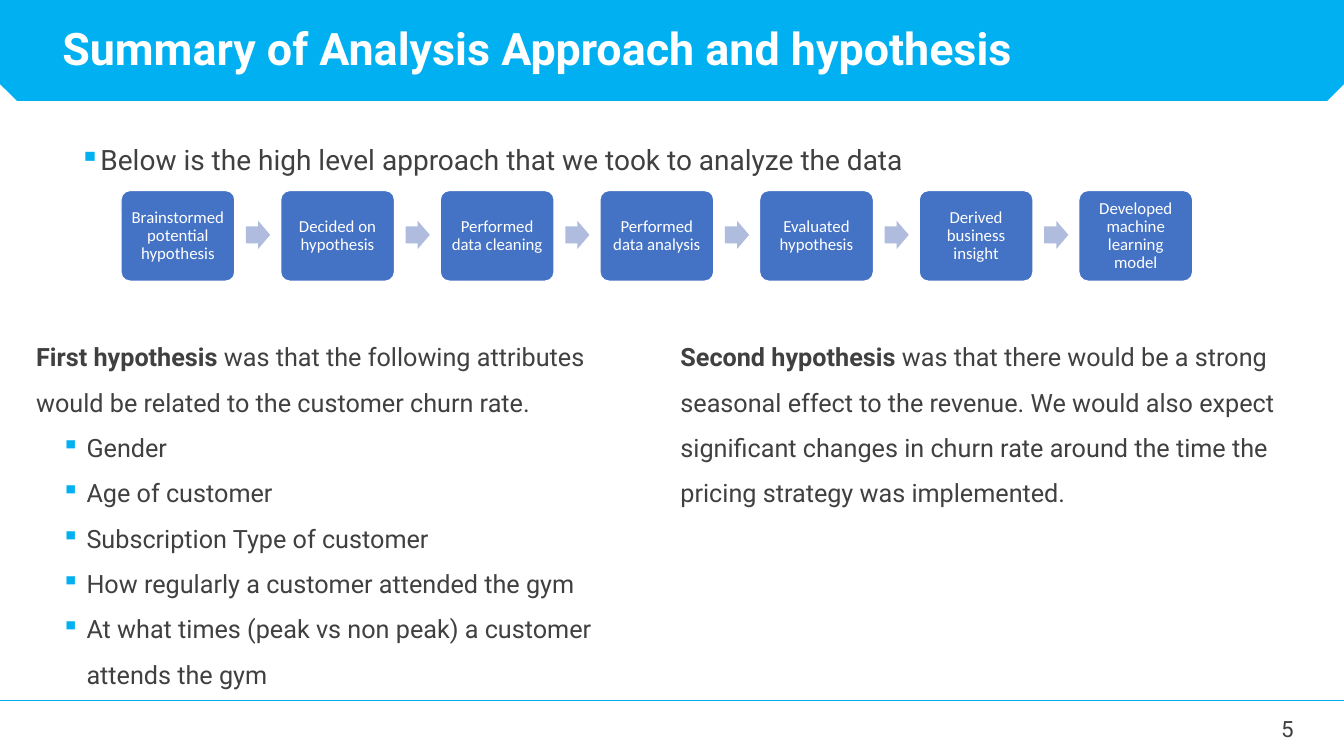
from dataclasses import dataclass

from lxml import etree
from pptx import Presentation
from pptx.dml.color import RGBColor
from pptx.enum.shapes import MSO_CONNECTOR, MSO_SHAPE
from pptx.enum.text import MSO_ANCHOR, MSO_AUTO_SIZE, PP_ALIGN
from pptx.oxml.ns import qn
from pptx.util import Inches, Pt

STRAIGHT = MSO_CONNECTOR.STRAIGHT
SNIPPED = MSO_SHAPE.SNIP_2_SAME_RECTANGLE
ROUNDED = MSO_SHAPE.ROUNDED_RECTANGLE
ARROW = MSO_SHAPE.RIGHT_ARROW
TOP, MIDDLE = MSO_ANCHOR.TOP, MSO_ANCHOR.MIDDLE
NO_FIT, GROW = MSO_AUTO_SIZE.NONE, MSO_AUTO_SIZE.SHAPE_TO_FIT_TEXT
LEFT, CENTER, RIGHT, JUSTIFY = PP_ALIGN.LEFT, PP_ALIGN.CENTER, PP_ALIGN.RIGHT, PP_ALIGN.JUSTIFY


@dataclass(frozen=True)
class Theme:
    accent: str = "00B0F0"
    step: str = "4472C4"
    arrow: str = "B0BCDE"
    text: str = "404040"
    white: str = "FFFFFF"
    font: str = "Roboto"
    step_font: str = "Calibri"
    title_size: float = 32
    lead_size: float = 20
    body_size: float = 18
    number_size: float = 16
    step_size: float = 12


@dataclass(frozen=True)
class Box:
    left: float
    top: float
    width: float
    height: float

    def lengths(self) -> tuple:
        return tuple(Inches(v) for v in (self.left, self.top, self.width, self.height))


@dataclass(frozen=True)
class Run:
    text: str
    size: float
    color: str
    bold: bool = False
    font: str = "Roboto"


@dataclass(frozen=True)
class Line:
    """One paragraph; a hanging indent applies to its bullet, if it has one."""
    runs: tuple[Run, ...]
    align: PP_ALIGN = LEFT
    spacing: float = 1.0
    before: float = 0
    bullet: bool = False
    margin: float = 0
    hanging: float = 0
    level: int = 0


THEME = Theme()
SLIDE_WIDTH, SLIDE_HEIGHT = 13.33, 7.5
STEPS = (
    "Brainstormed potential hypothesis",
    "Decided on hypothesis",
    "Performed data cleaning",
    "Performed data analysis",
    "Evaluated hypothesis",
    "Derived business insight",
    "Developed machine learning model",
)
FIRST_STEP_LEFT, LAST_STEP_LEFT = 1.2, 10.7
STEP_PITCH = (LAST_STEP_LEFT - FIRST_STEP_LEFT) / (len(STEPS) - 1)
ARROW_OFFSET = 1.24
ATTRIBUTES = (
    "Gender",
    "Age of customer",
    "Subscription Type of customer",
    "How regularly a customer attended the gym",
    "At what times (peak vs non peak) a customer attends the gym",
)


def add_bullet(paragraph, line: Line) -> None:
    properties = paragraph._p.get_or_add_pPr()
    properties.set("marL", str(Inches(line.margin)))
    properties.set("indent", str(-Inches(line.hanging)))
    color = etree.SubElement(properties, qn("a:buClr"))
    etree.SubElement(color, qn("a:srgbClr")).set("val", THEME.accent)
    etree.SubElement(properties, qn("a:buChar")).set("char", "▪")


def write_lines(frame, lines: list[Line], anchor: MSO_ANCHOR) -> None:
    frame.word_wrap = True
    frame.vertical_anchor = anchor
    for index, line in enumerate(lines):
        paragraph = frame.add_paragraph() if index else frame.paragraphs[0]
        paragraph.alignment = line.align
        paragraph.level = line.level
        paragraph.line_spacing = line.spacing
        paragraph.space_before = Pt(line.before)
        if line.bullet:
            add_bullet(paragraph, line)
        for part in line.runs:
            run = paragraph.add_run()
            run.text = part.text
            run.font.name = part.font
            run.font.size = Pt(part.size)
            run.font.bold = part.bold
            run.font.color.rgb = RGBColor.from_string(part.color)


def add_text(slide, box: Box, lines: list[Line], anchor: MSO_ANCHOR = TOP,
             fit: MSO_AUTO_SIZE = NO_FIT) -> None:
    frame = slide.shapes.add_textbox(*box.lengths()).text_frame
    write_lines(frame, lines, anchor)
    frame.auto_size = fit


def add_filled(slide, kind: MSO_SHAPE, box: Box, color: str):
    """Add a shape with a flat fill and no outline or shadow."""
    shape = slide.shapes.add_shape(kind, *box.lengths())
    shape.shadow.inherit = False
    shape.fill.solid()
    shape.fill.fore_color.rgb = RGBColor.from_string(color)
    shape.line.fill.background()
    return shape


def add_step(slide, left: float, label: str) -> None:
    shape = add_filled(slide, ROUNDED, Box(left, 1.89, 1.13, 0.9), THEME.step)
    shape.adjustments[0] = 0.1
    shape.line.color.rgb = RGBColor.from_string(THEME.white)
    shape.line.width = Pt(1)
    frame = shape.text_frame
    frame.margin_left = frame.margin_right = Inches(0.05)
    frame.margin_top = frame.margin_bottom = Inches(0.05)
    run = Run(label, THEME.step_size, THEME.white, font=THEME.step_font)
    write_lines(frame, [Line((run,), CENTER, 0.9)], MIDDLE)


def add_process(slide) -> None:
    for index, label in enumerate(STEPS):
        left = FIRST_STEP_LEFT + index * STEP_PITCH
        add_step(slide, left, label)
        if index < len(STEPS) - 1:
            arrow = add_filled(slide, ARROW, Box(left + ARROW_OFFSET, 2.19, 0.24, 0.28), THEME.arrow)
            arrow.adjustments[0] = 0.6
            arrow.adjustments[1] = 0.5


def add_footer(slide) -> None:
    rule = slide.shapes.add_connector(
        STRAIGHT, Inches(0), Inches(6.95), Inches(SLIDE_WIDTH), Inches(6.95))
    rule.line.color.rgb = RGBColor.from_string(THEME.accent)
    rule.line.width = Pt(0.5)
    etree.SubElement(rule._element.spPr, qn("a:effectLst"))
    number = Run("5", THEME.number_size, THEME.text, font=THEME.font)
    add_text(slide, Box(9.93, 7.03, 3, 0.4), [Line((number,), RIGHT)], MIDDLE)


def add_header(slide) -> None:
    banner = add_filled(slide, SNIPPED, Box(0, 0, SLIDE_WIDTH, 1), THEME.accent)
    banner.rotation = 180
    title = Run("Summary of Analysis Approach and hypothesis",
                THEME.title_size, THEME.white, True, THEME.font)
    add_text(slide, Box(0.52, 0.2, 10.8, 0.61), [Line((title,), spacing=0.9)], MIDDLE)


def body_run(text: str, bold: bool = False) -> Run:
    return Run(text, THEME.body_size, THEME.text, bold, THEME.font)


def add_hypotheses(slide) -> None:
    first = Line((
        body_run("First hypothesis ", True),
        body_run("was that the following attributes would be related to the customer churn rate."),
    ), spacing=1.5)
    attributes = [
        Line((body_run(text),), spacing=1.5, bullet=True, margin=0.5, hanging=0.25, level=1)
        for text in ATTRIBUTES
    ]
    second = Line((
        body_run("Second hypothesis ", True),
        body_run("was that there would be a strong seasonal effect to the revenue. "
                 "We would also expect significant changes in churn rate around the time "
                 "the pricing strategy was implemented."),
    ), spacing=1.5)
    add_text(slide, Box(0.26, 3.19, 6.28, 4.04), [first, *attributes], fit=GROW)
    add_text(slide, Box(6.65, 3.19, 6.28, 2.33), [second], fit=GROW)


def main() -> None:
    presentation = Presentation()
    presentation.slide_width = Inches(SLIDE_WIDTH)
    presentation.slide_height = Inches(SLIDE_HEIGHT)
    slide = presentation.slides.add_slide(presentation.slide_layouts[6])
    lead = Run("Below is the high level approach that we took to analyze the data",
               THEME.lead_size, THEME.text, font=THEME.font)
    add_text(slide, Box(0.69, 1.2, 11.95, 4.76),
             [Line((lead,), JUSTIFY, 1.5, before=10, bullet=True)])
    add_header(slide)
    add_footer(slide)
    add_process(slide)
    add_hypotheses(slide)
    presentation.save("out.pptx")


if __name__ == "__main__":
    main()
